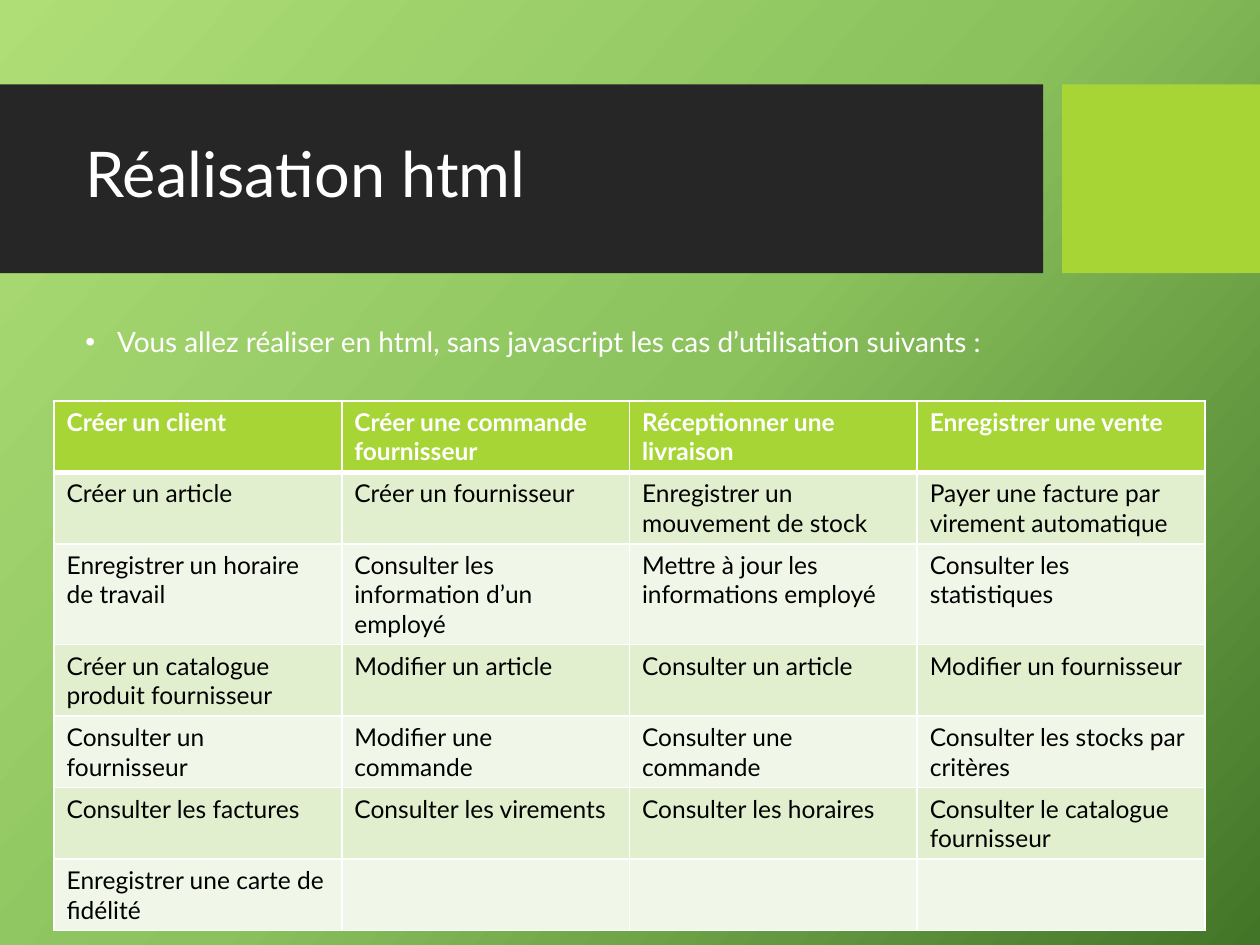
import pptx
import pptx.util
import pptx.dml.color
import pptx.enum.shapes
import pptx.enum.text
import pptx.oxml
import pptx.oxml.ns
import pptx.oxml.xmlchemy
from pptx.util import Cm, Pt

FONT = "Lato"
WHITE, BLACK, DARK, LIME = "FFFFFF", "000000", "262626", "A7D535"
ROW_FILLS = ["E1EFCE", "F1F7E8"]
BACKGROUND_STOPS = [(0, "AFDE77"), (50, "8BC25D"), (100, "437528")]
BULLET_TEXT = "Vous allez réaliser en html, sans javascript les cas d’utilisation suivants :"
USE_CASES = [
    ["Créer un client", "Créer une commande fournisseur",
     "Réceptionner une livraison", "Enregistrer une vente"],
    ["Créer un article", "Créer un fournisseur",
     "Enregistrer un mouvement de stock", "Payer une facture par virement automatique"],
    ["Enregistrer un horaire de travail", "Consulter les information d’un employé",
     "Mettre à jour les informations employé", "Consulter les statistiques"],
    ["Créer un catalogue produit fournisseur", "Modifier un article",
     "Consulter un article", "Modifier un fournisseur"],
    ["Consulter un fournisseur", "Modifier une commande",
     "Consulter une commande", "Consulter les stocks par critères"],
    ["Consulter les factures", "Consulter les virements",
     "Consulter les horaires", "Consulter le catalogue fournisseur"],
    ["Enregistrer une carte de fidélité", "", "", ""],
]


def color(value):
    return pptx.dml.color.RGBColor.from_string(value)


def xml(text):
    return pptx.oxml.parse_xml(text.replace(" ", f" {pptx.oxml.ns.nsdecls('a')} ", 1))


def format_text(frame, size, text_color, bold=False):
    for para in frame.paragraphs:
        for span in para.runs:
            span.font.name = FONT
            span.font.size = Pt(size)
            span.font.bold = bold
            span.font.color.rgb = color(text_color)


def set_background(page):
    page.background.fill.solid()
    stops = "".join(f'<a:gs pos="{place * 1000}"><a:srgbClr val="{value}"/></a:gs>'
                    for place, value in BACKGROUND_STOPS)
    gradient = xml(f'<a:gradFill rotWithShape="1"><a:gsLst>{stops}</a:gsLst>'
                   f'<a:lin ang="{42 * 60000}" scaled="0"/></a:gradFill>')
    solid = page.element.xpath("p:cSld/p:bg/p:bgPr/a:solidFill")[0]
    solid.getparent().replace(solid, gradient)


def add_band(page, left, width, fill):
    band = page.shapes.add_shape(pptx.enum.shapes.MSO_SHAPE.RECTANGLE,
                                 Cm(left), Cm(1.7), Cm(width), Cm(3.81))
    band.shadow.inherit = False
    band.fill.solid()
    band.fill.fore_color.rgb = color(fill)
    band.line.fill.background()


def set_title(page, text):
    title = page.shapes.title
    title.left, title.top, title.width, title.height = Cm(1.47), Cm(2.08), Cm(19.15), Cm(3)
    title.text_frame.text = text
    title.text_frame.vertical_anchor = pptx.enum.text.MSO_ANCHOR.MIDDLE
    para = title.text_frame.paragraphs[0]
    para.alignment = pptx.enum.text.PP_ALIGN.LEFT
    para.line_spacing = 0.9
    format_text(title.text_frame, 36, WHITE)
    # Bring the title in front of the bands
    title.element.getparent().append(title.element)


def add_bullet(page, text):
    box = page.shapes.add_textbox(Cm(1.47), Cm(6.5), Cm(19.13), Cm(10))
    box.text_frame.word_wrap = True
    box.text_frame.text = text
    para = box.text_frame.paragraphs[0]
    para.line_spacing = 0.9
    para.space_before = Pt(10)
    format_text(box.text_frame, 16, WHITE)
    properties = para._p.get_or_add_pPr()
    properties.set("marL", str(Cm(0.64)))
    properties.set("indent", str(-Cm(0.64)))
    properties.append(xml('<a:buFont typeface="Arial"/>'))
    properties.append(xml('<a:buChar char="•"/>'))


def set_borders(cell, widths):
    properties = cell._tc.get_or_add_tcPr()
    for side, width in zip("LRTB", widths):
        properties.append(xml(
            f'<a:ln{side} w="{Pt(width)}"><a:solidFill><a:srgbClr val="{WHITE}"/>'
            f'</a:solidFill></a:ln{side}>'))


def add_use_case_table(page):
    rows, columns = len(USE_CASES), len(USE_CASES[0])
    table = page.shapes.add_table(rows, columns, Cm(1.09), Cm(8.08),
                                  Cm(5.8 * columns), Cm(1.35 * rows)).table
    for row, texts in enumerate(USE_CASES):
        header = row == 0
        for column, text in enumerate(texts):
            cell = table.cell(row, column)
            set_borders(cell, (1, 1, 3 if row == 1 else 1, 3 if header else 1))
            cell.fill.solid()
            cell.fill.fore_color.rgb = color(LIME if header else ROW_FILLS[(row - 1) % 2])
            if text:
                cell.text_frame.text = text
                format_text(cell.text_frame, 14, WHITE if header else BLACK, header)


def main():
    deck = pptx.Presentation()
    deck.slide_width, deck.slide_height = Cm(25.4), Cm(19.05)
    page = deck.slides.add_slide(deck.slide_layouts[5])
    set_background(page)

    # Title area
    add_band(page, 0, 21.03, DARK)
    add_band(page, 21.41, 3.99, LIME)
    set_title(page, "Réalisation html")

    # Content
    add_bullet(page, BULLET_TEXT)
    add_use_case_table(page)
    deck.save("out.pptx")


main()
